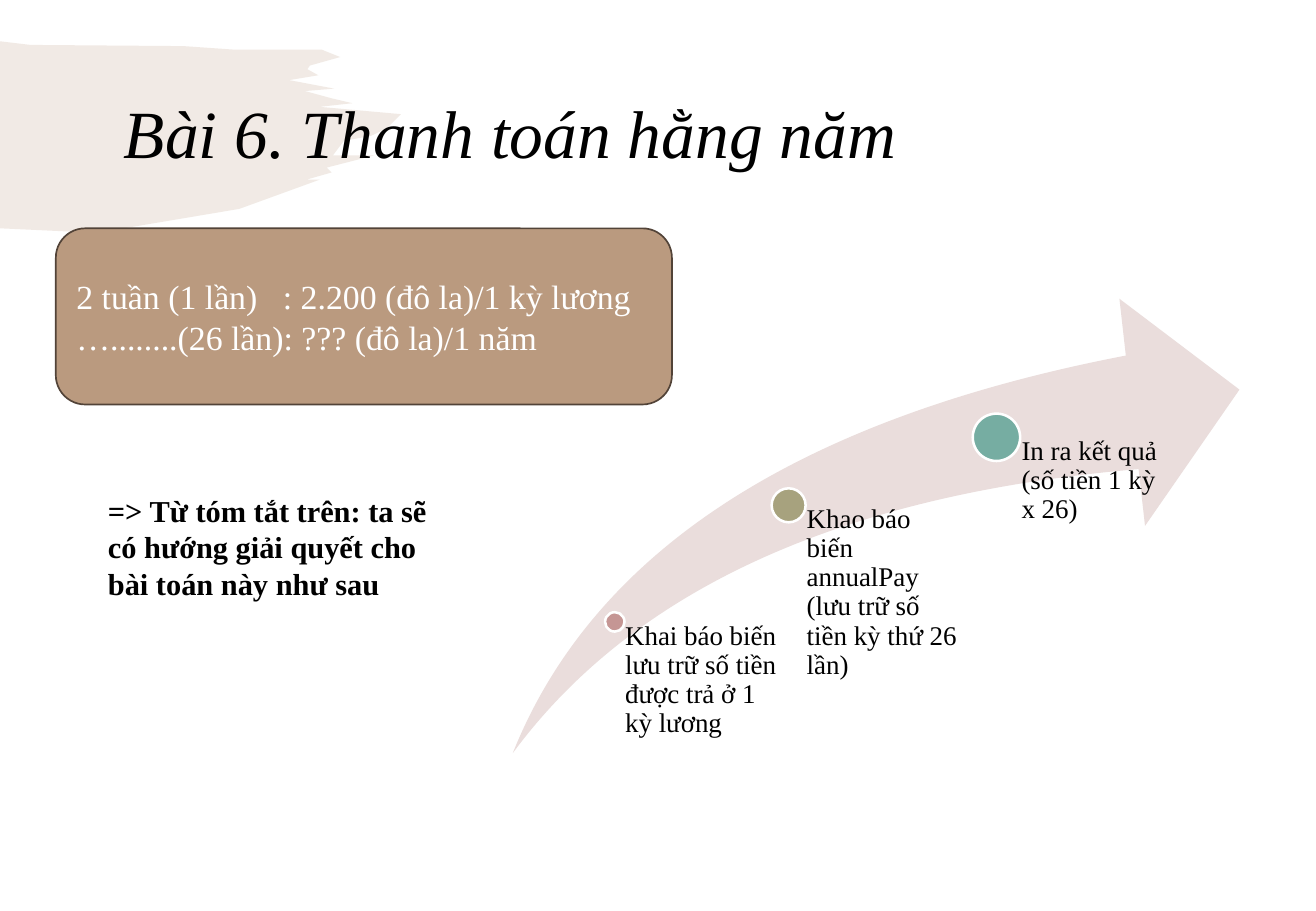
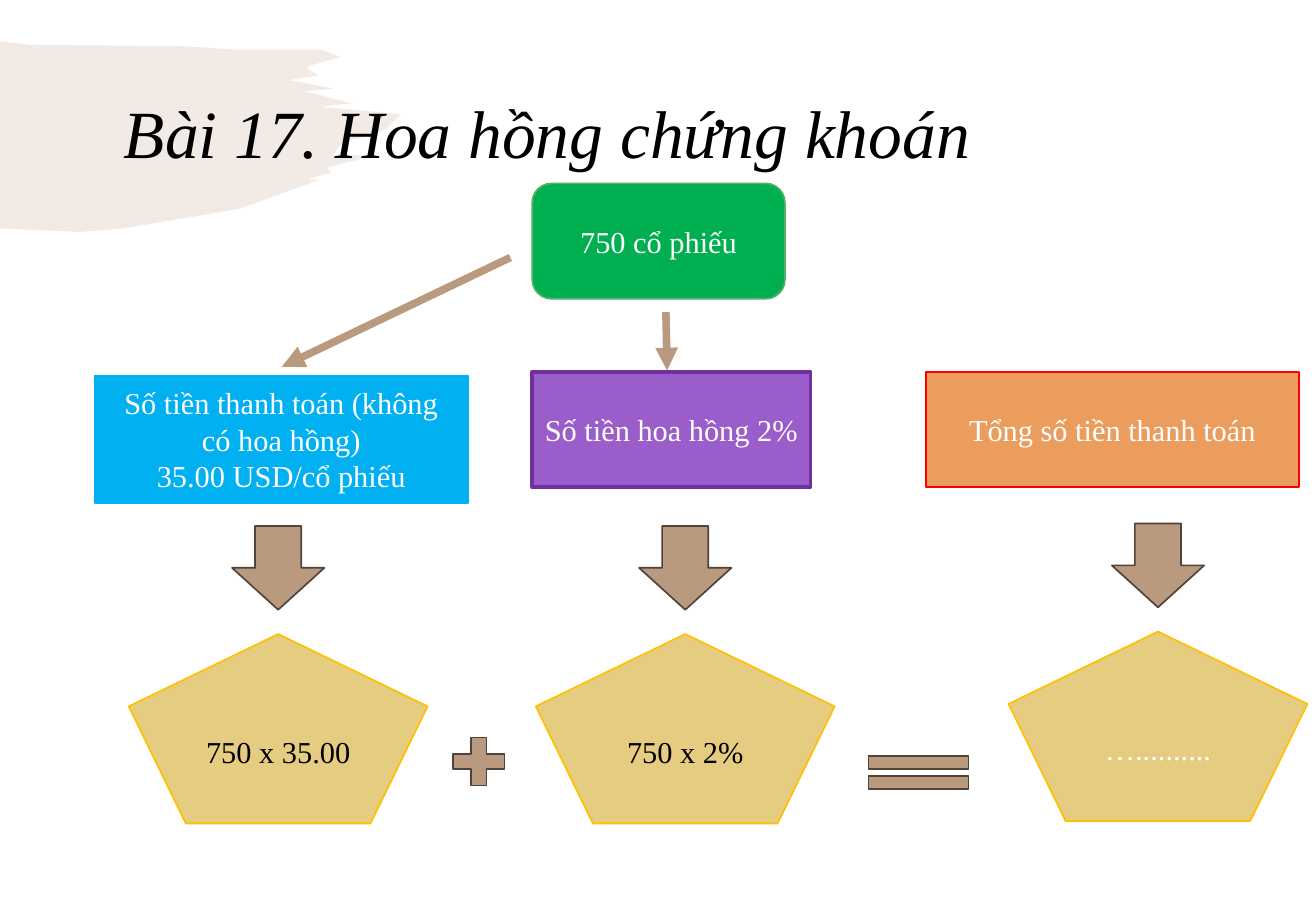
from dataclasses import dataclass

from lxml import etree
from pptx import Presentation
from pptx.dml.color import RGBColor
from pptx.enum.shapes import MSO_CONNECTOR, MSO_SHAPE
from pptx.enum.text import MSO_ANCHOR, PP_ALIGN
from pptx.oxml.ns import qn
from pptx.util import Emu, Inches, Pt

LEFT, CENTER = PP_ALIGN.LEFT, PP_ALIGN.CENTER
TOP, MIDDLE = MSO_ANCHOR.TOP, MSO_ANCHOR.MIDDLE
ROUNDED, RECT = MSO_SHAPE.ROUNDED_RECTANGLE, MSO_SHAPE.RECTANGLE
OVAL, PENTAGON = MSO_SHAPE.OVAL, MSO_SHAPE.REGULAR_PENTAGON
SWOOSH, DOWN_ARROW = MSO_SHAPE.SWOOSH_ARROW, MSO_SHAPE.DOWN_ARROW
PLUS, EQUALS = MSO_SHAPE.MATH_PLUS, MSO_SHAPE.MATH_EQUAL
STRAIGHT = MSO_CONNECTOR.STRAIGHT


@dataclass(frozen=True)
class Theme:
    font: str = "Times New Roman"
    title_size: int = 40
    summary_size: int = 20
    body_size: int = 18
    step_size: int = 16
    tight: float = 0.9
    black: str = "000000"
    white: str = "FFFFFF"
    tan: str = "BA9A7F"
    tan_edge: str = "524338"
    swoosh: str = "EADDDC"
    gold: str = "E6CC81"
    gold_edge: str = "FFC000"
    green: str = "00B050"
    green_edge: str = "53B163"
    thin: float = 1
    dot_edge: float = 1.5
    link: float = 4.5


THEME = Theme()
SLIDE_SIZE = (10.83, 7.5)
TITLE_AREA = (0.92, 0.4, 11.5, 1.45)

# Brush stroke outline, in inches: top edge, ragged tip, bottom edge
BRUSH = [
    (0, 0.34), (0.25, 0.37), (1.51, 0.38), (1.94, 0.41), (2.65, 0.41), (2.8, 0.47),
    (2.55, 0.54), (2.53, 0.57), (2.62, 0.62), (2.38, 0.66), (2.75, 0.73), (2.51, 0.75),
    (2.73, 0.81), (2.9, 0.85), (2.63, 0.88), (3.3, 0.94), (3.18, 1.06), (3.05, 1.12),
    (2.83, 1.16), (2.74, 1.28), (3.08, 1.28), (2.69, 1.38), (2.73, 1.42), (2.52, 1.48),
    (2.63, 1.48), (1.97, 1.72), (1.02, 1.88), (0.65, 1.91), (0, 1.88),
]
BRUSH_OPACITY = 20

# Slide 1 content
PAY_TITLE = "Bài 6. Thanh toán hằng năm"
PAY_SUMMARY = ["2 tuần (1 lần)\t: 2.200 (đô la)/1 kỳ lương",
               "…........(26 lần): ??? (đô la)/1 năm"]
PAY_SUMMARY_AREA = (0.46, 1.88, 5.07, 1.45)
COLON_TAB = 1.7
PAY_LEAD = "=> Từ tóm tắt trên: ta sẽ có hướng giải quyết cho bài toán này như sau"
PAY_LEAD_AREA = (0.79, 4, 3.03, 1.31)
SWOOSH_AREA = (4.22, 2.46, 5.98, 3.74)
# text, dot centre x and y, dot diameter, dot colour
PAY_STEPS = [
    ("Khai báo biến lưu trữ số tiền được trả ở 1 kỳ lương", 5.06, 5.12, 0.16, "C59694"),
    ("Khao báo biến annualPay (lưu trữ số tiền kỳ thứ 26 lần)", 6.49, 4.16, 0.28, "A7A27E"),
    ("In ra kết quả (số tiền 1 kỳ x 26)", 8.2, 3.6, 0.39, "76ADA2"),
]
LABEL_WIDTH = 1.42
LABEL_INSET = 0.53  # share of the dot diameter

# Slide 2 content
STOCK_TITLE = "Bài 17. Hoa hồng chứng khoán"
SHARES = "750 cổ phiếu"
SHARES_AREA = (4.38, 1.51, 2.08, 0.95)
# box lines, box area, fill, edge, edge width, formula, its colour, column centre, row top
STOCK_COLUMNS = [
    (["Số tiền thanh toán (không có hoa hồng)", "35.00 USD/cổ phiếu"], (0.78, 3.09, 3.07, 1.05),
     "00B0F0", "00B0F0", 1, "750 x 35.00", THEME.black, 2.29, 4.33),
    (["Số tiền hoa hồng 2%"], (4.38, 3.06, 2.29, 0.95),
     "9A5DC9", "7030A0", 2.25, "750 x 2%", THEME.black, 5.64, 4.33),
    (["Tổng số tiền thanh toán"], (7.62, 3.06, 3.07, 0.95),
     "EB9D5E", "FF0000", 1, "…..........", THEME.white, 9.53, 4.31),
]
ARROW_SIZE = (0.76, 0.69)
PENTAGON_SIZE = (2.46, 1.56)
PENTAGON_DROP = 0.89
STOCK_LINKS = [((4.2, 2.12), (2.32, 3.02)), ((5.48, 2.57), (5.49, 3.05))]
OPERATORS = [(PLUS, (3.65, 6, 0.58, 0.54)), (EQUALS, (7, 6.13, 1.12, 0.46))]


def rgb(color):
    return RGBColor.from_string(color)


def inches(values):
    return [Inches(value) for value in values]


def write(frame, lines, size, color, align=LEFT, anchor=TOP, bold=None, italic=None, spacing=None):
    """Fill a text frame with one paragraph per line."""
    frame.word_wrap = True
    frame.vertical_anchor = anchor
    for number, line in enumerate(lines):
        paragraph = frame.add_paragraph() if number else frame.paragraphs[0]
        paragraph.alignment = align
        paragraph.line_spacing = spacing
        run = paragraph.add_run()
        run.text = line
        font = run.font
        font.name, font.size, font.bold, font.italic = THEME.font, Pt(size), bold, italic
        font.color.rgb = rgb(color)


def paint(block, fill, edge=None, width=THEME.thin):
    block.shadow.inherit = False
    block.fill.solid()
    block.fill.fore_color.rgb = rgb(fill)
    if edge:
        block.line.color.rgb = rgb(edge)
        block.line.width = Pt(width)
    else:
        block.line.fill.background()
    return block


def add_block(slide, kind, area, *paints):
    return paint(slide.shapes.add_shape(kind, *inches(area)), *paints)


def add_label(slide, area, text, size, **style):
    frame = slide.shapes.add_textbox(*inches(area)).text_frame
    write(frame, [text], size, THEME.black, **style)
    return frame


def add_link(slide, start, end):
    link = slide.shapes.add_connector(STRAIGHT, *inches(start + end))
    link.line.color.rgb = rgb(THEME.tan)
    link.line.width = Pt(THEME.link)
    outline = link.element.spPr.find(qn("a:ln"))
    etree.SubElement(outline, qn("a:tailEnd"), type="triangle")
    etree.SubElement(link.element.spPr, qn("a:effectLst"))


def put_brush_on_layout(slide):
    """Draw the brush stroke once and hand it to the shared layout."""
    first, *rest = [inches(point) for point in BRUSH]
    builder = slide.shapes.build_freeform(*first, scale=1.0)
    builder.add_line_segments(rest, close=True)
    brush = paint(builder.convert_to_shape(Emu(0), Emu(0)), THEME.tan)
    color = brush.element.spPr.find(".//" + qn("a:srgbClr"))
    etree.SubElement(color, qn("a:alpha"), val=str(BRUSH_OPACITY * 1000))
    slide.slide_layout.shapes.element.insert(2, brush.element)


def add_titled_slide(deck, text):
    slide = deck.slides.add_slide(deck.slide_layouts[5])
    title = slide.shapes.title
    title.left, title.top, title.width, title.height = inches(TITLE_AREA)
    write(title.text_frame, [text], THEME.title_size, THEME.black,
          anchor=MIDDLE, italic=True, spacing=THEME.tight)
    return slide


def build_pay_slide(deck):
    slide = add_titled_slide(deck, PAY_TITLE)
    put_brush_on_layout(slide)
    add_label(slide, PAY_LEAD_AREA, PAY_LEAD, THEME.body_size, bold=True)

    # Rising arrow with its steps
    swoosh = add_block(slide, SWOOSH, SWOOSH_AREA, THEME.swoosh)
    swoosh.adjustments[0] = swoosh.adjustments[1] = 0.25
    label_bottom = SWOOSH_AREA[1] + SWOOSH_AREA[3]
    for text, x, y, size, color in PAY_STEPS:
        add_block(slide, OVAL, (x - size / 2, y - size / 2, size, size),
                  color, THEME.white, THEME.dot_edge)
        frame = add_label(slide, (x, y, LABEL_WIDTH, label_bottom - y), text,
                          THEME.step_size, spacing=THEME.tight)
        frame.margin_left = Inches(LABEL_INSET * size)
        frame.margin_top = frame.margin_right = frame.margin_bottom = 0

    # Summary box, colons lined up by a tab stop
    summary = add_block(slide, ROUNDED, PAY_SUMMARY_AREA, THEME.tan, THEME.tan_edge).text_frame
    write(summary, PAY_SUMMARY, THEME.summary_size, THEME.white, anchor=MIDDLE)
    properties = summary.paragraphs[0]._p.get_or_add_pPr()
    tabs = etree.SubElement(properties, qn("a:tabLst"))
    etree.SubElement(tabs, qn("a:tab"), pos=str(Inches(COLON_TAB)), algn="l")


def build_stock_slide(deck):
    slide = add_titled_slide(deck, STOCK_TITLE)
    centred = {"align": CENTER, "anchor": MIDDLE}
    shares = add_block(slide, ROUNDED, SHARES_AREA, THEME.green, THEME.green_edge)
    write(shares.text_frame, [SHARES], THEME.body_size, THEME.white, **centred)
    for start, end in STOCK_LINKS:
        add_link(slide, start, end)

    # Each column: amount, arrow, formula
    for lines, area, fill, edge, width, formula, ink, center, top in STOCK_COLUMNS:
        amount = add_block(slide, RECT, area, fill, edge, width)
        write(amount.text_frame, lines, THEME.body_size, THEME.white, **centred)
        add_block(slide, DOWN_ARROW, (center - ARROW_SIZE[0] / 2, top, *ARROW_SIZE),
                  THEME.tan, THEME.tan_edge)
        result = add_block(
            slide, PENTAGON,
            (center - PENTAGON_SIZE[0] / 2, top + PENTAGON_DROP, *PENTAGON_SIZE),
            THEME.gold, THEME.gold_edge)
        write(result.text_frame, [formula], THEME.body_size, ink, **centred)

    # Plus and equals signs between the formulas
    for sign, area in OPERATORS:
        add_block(slide, sign, area, THEME.tan, THEME.tan_edge)


def main():
    deck = Presentation()
    deck.slide_width, deck.slide_height = inches(SLIDE_SIZE)
    build_pay_slide(deck)
    build_stock_slide(deck)
    deck.save("out.pptx")


if __name__ == "__main__":
    main()
